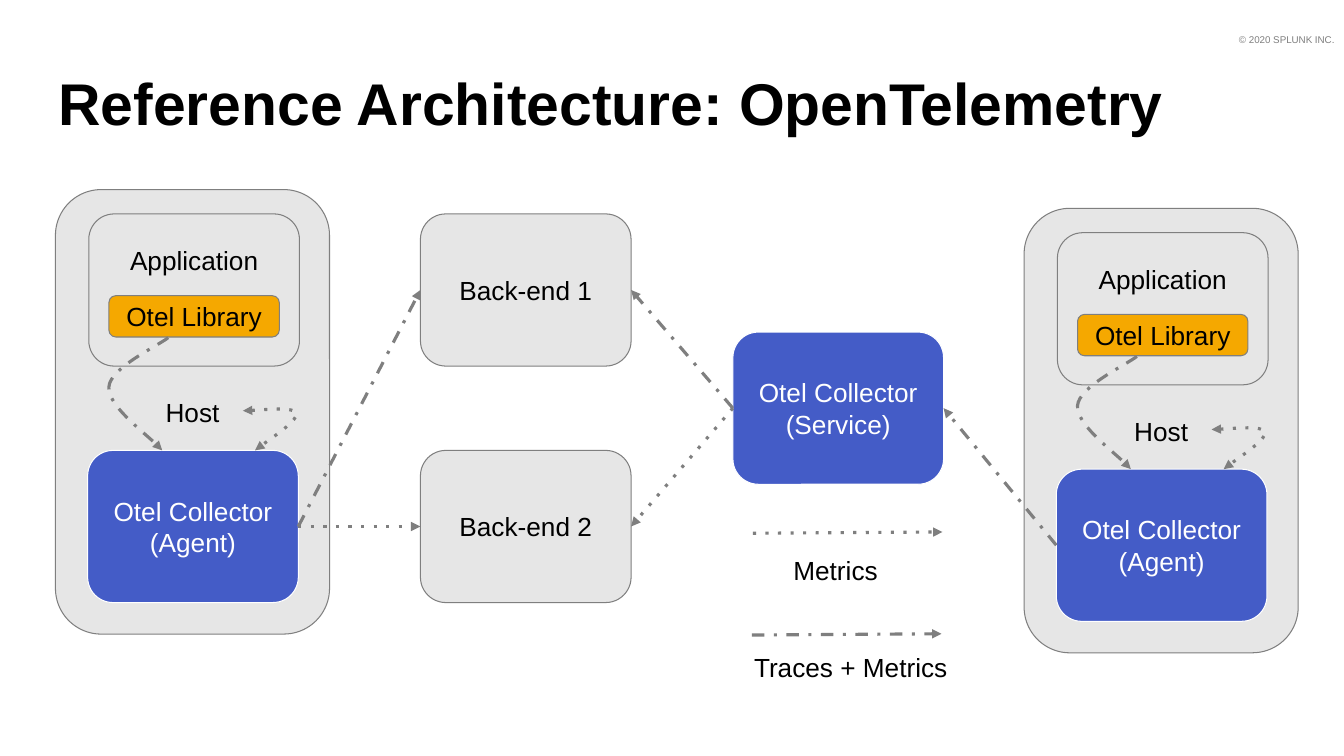
from lxml.etree import SubElement
from pptx import Presentation
from pptx.dml.color import RGBColor
from pptx.enum.shapes import MSO_CONNECTOR as Connector, MSO_SHAPE as Shape
from pptx.enum.text import MSO_ANCHOR as Anchor, MSO_AUTO_SIZE as AutoSize, PP_ALIGN as Align
from pptx.oxml.ns import qn
from pptx.util import Pt

BLACK = RGBColor(0x00, 0x00, 0x00)
WHITE = RGBColor(0xFF, 0xFF, 0xFF)
GRAY = RGBColor(0x7F, 0x7F, 0x7F)
PALE = RGBColor(0xE6, 0xE6, 0xE6)
ORANGE = RGBColor(0xF5, 0xA8, 0x00)
BLUE = RGBColor(0x44, 0x5C, 0xC7)

FONT = "Arial"
LABEL_SIZE = 18.7
INSET = 9.4
BOX_SIZE = (150.5, 108.7)
LEFT, RIGHT = 1, 3
METRICS, TRACES = "dot", "dashDot"


class Diagram:
    def __init__(self, page):
        self.page = page
        self.shapes = page.shapes

    def label(self, shape, text, color=BLACK, size=LABEL_SIZE, align=Align.LEFT,
              anchor=Anchor.TOP, insets=(INSET,) * 4, bold=False):
        frame = shape.text_frame
        frame.text = text
        frame.word_wrap = True
        frame.auto_size = AutoSize.NONE
        frame.vertical_anchor = anchor
        frame.margin_left, frame.margin_top, frame.margin_right, frame.margin_bottom = map(Pt, insets)
        para = frame.paragraphs[0]
        para.alignment = align
        for span in para.runs:
            span.font.name = FONT
            span.font.size = Pt(size)
            span.font.bold = bold
            span.font.color.rgb = color
        return para

    def title(self, text, left, top, width, height):
        title = self.shapes.title
        title.left, title.top, title.width, title.height = map(Pt, (left, top, width, height))
        para = self.label(title, text, size=42, bold=True, anchor=Anchor.BOTTOM)
        para.line_spacing = 0.8

    def text(self, text, left, top, width, height, **style):
        self.label(self.shapes.add_textbox(*map(Pt, (left, top, width, height))), text, **style)

    def box(self, text, left, top, width, height, fill=PALE, bottom_inset=INSET):
        box = self.shapes.add_shape(Shape.ROUNDED_RECTANGLE, *map(Pt, (left, top, width, height)))
        box.adjustments[0] = 0.167
        box.shadow.inherit = False
        box.fill.solid()
        box.fill.fore_color.rgb = fill
        box.line.color.rgb = WHITE if fill == BLUE else GRAY
        box.line.width = Pt(0.75)
        self.label(box, text, WHITE if fill == BLUE else BLACK, align=Align.CENTER,
                   anchor=Anchor.MIDDLE, insets=(INSET, INSET, INSET, bottom_inset))
        return box

    def flow_line(self, shape, dash, ends=("tailEnd",)):
        shape.line.color.rgb = GRAY
        shape.line.width = Pt(2.25)
        outline = shape.element.spPr.find(qn("a:ln"))
        SubElement(outline, qn("a:prstDash"), val=dash)
        for end in ends:
            SubElement(outline, qn("a:" + end), type="triangle")

    def arrow(self, dash, start=(0, 0), finish=(0, 0)):
        arrow = self.shapes.add_connector(Connector.STRAIGHT, *map(Pt, start + finish))
        self.flow_line(arrow, dash)
        SubElement(arrow.element.spPr, qn("a:effectLst"))
        return arrow

    def link(self, dash, source, source_side, target, target_side):
        arrow = self.arrow(dash)
        arrow.begin_connect(source, source_side)
        arrow.end_connect(target, target_side)

    def curve(self, dash, points, ends=("tailEnd",)):
        start, *rest = [(Pt(x), Pt(y)) for x, y in points]
        builder = self.shapes.build_freeform(*start)
        builder.add_line_segments(rest, close=False)
        curve = builder.convert_to_shape()
        curve.shadow.inherit = False
        curve.fill.background()
        track = curve.element.spPr.find(".//" + qn("a:path"))
        segments = track.findall(qn("a:lnTo"))
        for first in range(0, len(segments), 3):
            bezier = SubElement(track, qn("a:cubicBezTo"))
            for segment in segments[first:first + 3]:
                bezier.append(segment[0])
                track.remove(segment)
        self.flow_line(curve, dash, ends)

    def host(self, left, top):
        def moved(points):
            return [(left + x, top + y) for x, y in points]

        self.box("Host", left, top, 195.8, 317.5)
        self.box("Application", left + 23.8, top + 17.4, *BOX_SIZE, bottom_inset=52)
        self.box("Otel Library", left + 38.2, top + 75.8, 121.7, 29.5, ORANGE)
        agent = self.box("Otel Collector\v(Agent)", left + 23, top + 186.3, *BOX_SIZE, fill=BLUE)
        self.curve(TRACES, moved([(80.6, 105.8), (73.4, 111.6), (38.9, 127.4), (38.2, 141.1),
                                  (37.4, 154), (69.8, 178.5), (76.3, 186.3)]))
        self.curve(METRICS, moved([(133.9, 158), (140.4, 158), (170.6, 155.1), (172.1, 159.8),
                                   (173.5, 164.8), (147.6, 182.1), (142.6, 186.3)]),
                   ("headEnd", "tailEnd"))
        return agent


def main():
    deck = Presentation()
    deck.slide_width, deck.slide_height = Pt(960), Pt(540)
    diagram = Diagram(deck.slides.add_slide(deck.slide_layouts[5]))

    diagram.text("© 2020 SPLUNK INC.", 855.3, 20.9, 105, 14.4, color=GRAY, size=7,
                 align=Align.RIGHT, insets=(7.2, 3.6, 7.2, 3.6))
    diagram.title("Reference Architecture: OpenTelemetry", 32.4, 46.8, 894.2, 60.5)

    left_agent = diagram.host(39.6, 135.4)
    right_agent = diagram.host(731.5, 148.8)
    backend_1 = diagram.box("Back-end 1", 300.3, 152.8, *BOX_SIZE)
    backend_2 = diagram.box("Back-end 2", 300.3, 321.7, *BOX_SIZE)
    service = diagram.box("Otel Collector\v(Service)", 523.5, 237.2, *BOX_SIZE, fill=BLUE)

    diagram.link(TRACES, left_agent, RIGHT, backend_1, LEFT)
    diagram.link(METRICS, left_agent, RIGHT, backend_2, LEFT)
    diagram.link(TRACES, right_agent, LEFT, service, RIGHT)
    diagram.link(TRACES, service, LEFT, backend_1, RIGHT)
    diagram.link(METRICS, service, LEFT, backend_2, RIGHT)

    diagram.arrow(METRICS, (537.8, 380.9), (673.2, 380))
    diagram.text("Metrics", 557.3, 386.8, 170.6, 50.4)
    diagram.arrow(TRACES, (537.1, 453.6), (672.5, 452.7))
    diagram.text("Traces + Metrics", 529.2, 455.8, 184.3, 50.4)

    deck.save("out.pptx")


if __name__ == "__main__":
    main()
